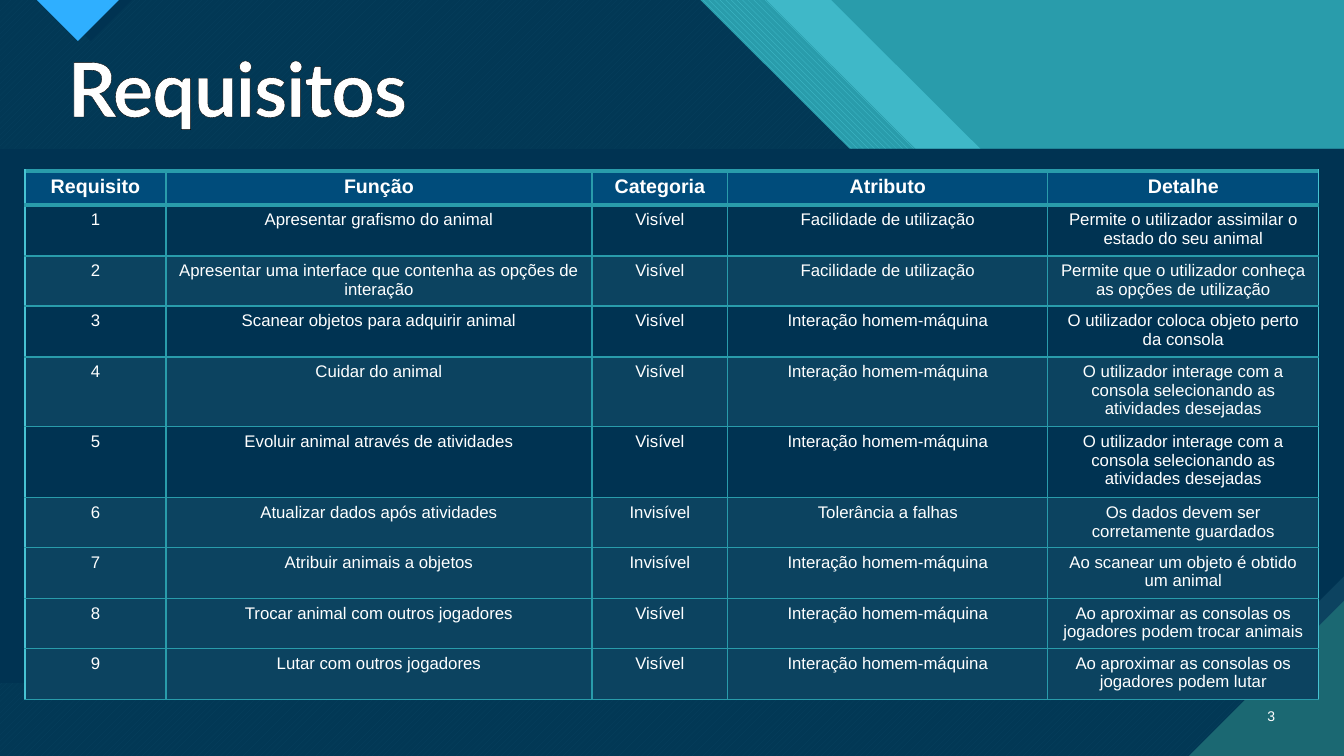
from lxml.etree import SubElement
from pptx import Presentation
from pptx.dml.color import RGBColor
from pptx.enum.dml import MSO_PATTERN as PATTERN
from pptx.enum.shapes import MSO_SHAPE as SHAPE
from pptx.enum.text import MSO_ANCHOR as ANCHOR, PP_ALIGN as ALIGN
from pptx.oxml import parse_xml
from pptx.oxml.ns import nsdecls, qn
from pptx.util import Emu, Pt

W, H = 1344, 756
PX = 914400 / 100.8
COLORS = {
    "teal": "299CAB", "aqua": "47C3D3", "deep_teal": "1B6872", "navy": "003352",
    "row": "0C4360", "header": "004C7B", "blue": "2FAFFF", "white": "FFFFFF",
    "black": "000000",
}


def px(n):
    return Emu(round(n * PX))


def rgb(name):
    return RGBColor.from_string(COLORS[name])


def line_xml(tag, color, width):
    return parse_xml(
        f'<a:{tag} {nsdecls("a")} w="{Pt(width)}"><a:solidFill>'
        f'<a:srgbClr val="{COLORS[color]}"/></a:solidFill></a:{tag}>')


class Painter:
    font = "Arial"

    def __init__(self, slide):
        self.slide = slide

    def paint(self, s, color, alpha=None, pattern=None, back=None):
        s.shadow.inherit = False
        s.line.fill.background()
        if pattern is not None:
            s.fill.patterned()
            s.fill.pattern = pattern
            s.fill.fore_color.rgb = rgb(color)
            s.fill.back_color.rgb = rgb(back)
            return
        s.fill.solid()
        s.fill.fore_color.rgb = rgb(color)
        if alpha:
            clr = s._element.spPr.find(".//" + qn("a:srgbClr"))
            SubElement(clr, qn("a:alpha")).set("val", str(alpha * 1000))

    def shape(self, kind, x, y, w, h, color):
        s = self.slide.shapes.add_shape(kind, px(x), px(y), px(w), px(h))
        self.paint(s, color)
        return s

    def polygon(self, points, color, **style):
        fb = self.slide.shapes.build_freeform(*points[0], scale=PX)
        fb.add_line_segments(points[1:])
        self.paint(fb.convert_to_shape(), color, **style)

    def style_text(self, p, size, bold=False, align=ALIGN.CENTER, font=None):
        p.alignment = align
        p.font.name = font or self.font
        p.font.size = Pt(size)
        p.font.bold = bold
        p.font.color.rgb = rgb("white")

    def text(self, text, x, y, w, h, size, **style):
        tf = self.slide.shapes.add_textbox(px(x), px(y), px(w), px(h)).text_frame
        tf.word_wrap = True
        tf.vertical_anchor = ANCHOR.MIDDLE
        p = tf.paragraphs[0]
        p.text = text
        self.style_text(p, size, **style)
        return p

    def borders(self, cell, **sides):
        tcPr = cell._tc.get_or_add_tcPr()
        for i, side in enumerate("LRTB"):
            tcPr.insert(i, line_xml("ln" + side, *sides[side]))

    def table(self, x, y, widths, heights, rows, filled):
        frame = self.slide.shapes.add_table(
            len(rows), len(widths), px(x), px(y), px(sum(widths)), px(sum(heights)))
        table = frame.table
        table.horz_banding = False
        for col, w in zip(table.columns, widths):
            col.width = px(w)
        for row, h in zip(table.rows, heights):
            row.height = px(h)
        last = len(widths) - 1
        for i, values in enumerate(rows):
            for j, value in enumerate(values):
                cell = table.cell(i, j)
                cell.text = value
                head = i == 0
                self.style_text(cell.text_frame.paragraphs[0], 14 if head else 12, bold=head)
                if head or i in filled:
                    cell.fill.solid()
                    cell.fill.fore_color.rgb = rgb("header" if head else "row")
                else:
                    cell.fill.background()
                self.borders(
                    cell,
                    L=("aqua" if j == 0 else "teal", 1),
                    R=("aqua" if j == last else "teal", 1),
                    T=("teal", 3 if i < 2 else 1),
                    B=("teal", 3 if head else 1))


def stripe(shift):
    """Outline of everything left of a diagonal edge moved right by shift."""
    return [(0, 0), (700 + shift, 0), (1000 + shift, 299), (1127 + shift, 299),
            (W, 516 - shift), (W, H), (0, H)]


prs = Presentation()
prs.slide_width, prs.slide_height = px(W), px(H)
slide = prs.slides.add_slide(prs.slide_layouts[6])
paint = Painter(slide)

# Background with diagonal stripes
slide.background.fill.solid()
slide.background.fill.fore_color.rgb = rgb("aqua")
paint.shape(SHAPE.RECTANGLE, 0, 0, W, H, "teal")
paint.polygon(stripe(131), "aqua", alpha=74)
paint.polygon(stripe(66), "aqua", pattern=PATTERN.WIDE_DOWNWARD_DIAGONAL, back="teal")
paint.polygon(stripe(0), "aqua", pattern=PATTERN.WIDE_UPWARD_DIAGONAL, back="deep_teal")
paint.polygon(stripe(0), "navy", alpha=90)

# Top marker with its dark echo
for left, color in ((50, "navy"), (37, "blue")):
    paint.polygon([(left, 0), (left + 82, 0), (left + 41, 41)], color)

# Content panel and corner
paint.shape(SHAPE.RECTANGLE, 0, 149, W, 534, "row")
panel = paint.shape(SHAPE.SNIP_1_RECTANGLE, 0, 149, W, 534, "navy")
panel.adjustments[0] = 0.2
panel._element.spPr.xfrm.set("flipV", "1")
paint.polygon([(W - 155, H), (W, H), (W, H - 155)], "deep_teal")

# Requirements table
SEEN, HIDDEN = "Visível", "Invisível"
EASE, HUMAN = "Facilidade de utilização", "Interação homem-máquina"
INTERACT = "O utilizador interage com a consola selecionando as atividades desejadas"
header = ("Requisito", "Função", "Categoria", "Atributo", "Detalhe")
requirements = [
    ("Apresentar grafismo do animal", SEEN, EASE,
     "Permite o utilizador assimilar o estado do seu animal"),
    ("Apresentar uma interface que contenha as opções de interação", SEEN, EASE,
     "Permite que o utilizador conheça as opções de utilização"),
    ("Scanear objetos para adquirir animal", SEEN, HUMAN,
     "O utilizador coloca objeto perto da consola"),
    ("Cuidar do animal", SEEN, HUMAN, INTERACT),
    ("Evoluir animal através de atividades", SEEN, HUMAN, INTERACT),
    ("Atualizar dados após atividades", HIDDEN, "Tolerância a falhas",
     "Os dados devem ser corretamente guardados"),
    ("Atribuir animais a objetos", HIDDEN, HUMAN,
     "Ao scanear um objeto é obtido um animal"),
    ("Trocar animal com outros jogadores", SEEN, HUMAN,
     "Ao aproximar as consolas os jogadores podem trocar animais"),
    ("Lutar com outros jogadores", SEEN, HUMAN,
     "Ao aproximar as consolas os jogadores podem lutar"),
]
rows = [header] + [(str(n), *req) for n, req in enumerate(requirements, 1)]
paint.table(25, 171, [141, 426, 136, 320, 271],
            [34, 51, 50, 51, 70, 71, 50, 51, 50, 51], rows, filled={2, 4, 6, 7, 8, 9})

# Page number and title
paint.text("3", 1241, 696, 44, 40, 10, align=ALIGN.RIGHT)
p = paint.text("Requisitos", 58, 46, 858, 93, 54, bold=True, align=ALIGN.LEFT, font="Lato")
p.line_spacing = 0.9
rPr = p.runs[0]._r.get_or_add_rPr()
rPr.set("spc", "-70")
rPr.insert(0, line_xml("ln", "black", 0.75))

prs.save("out.pptx")
